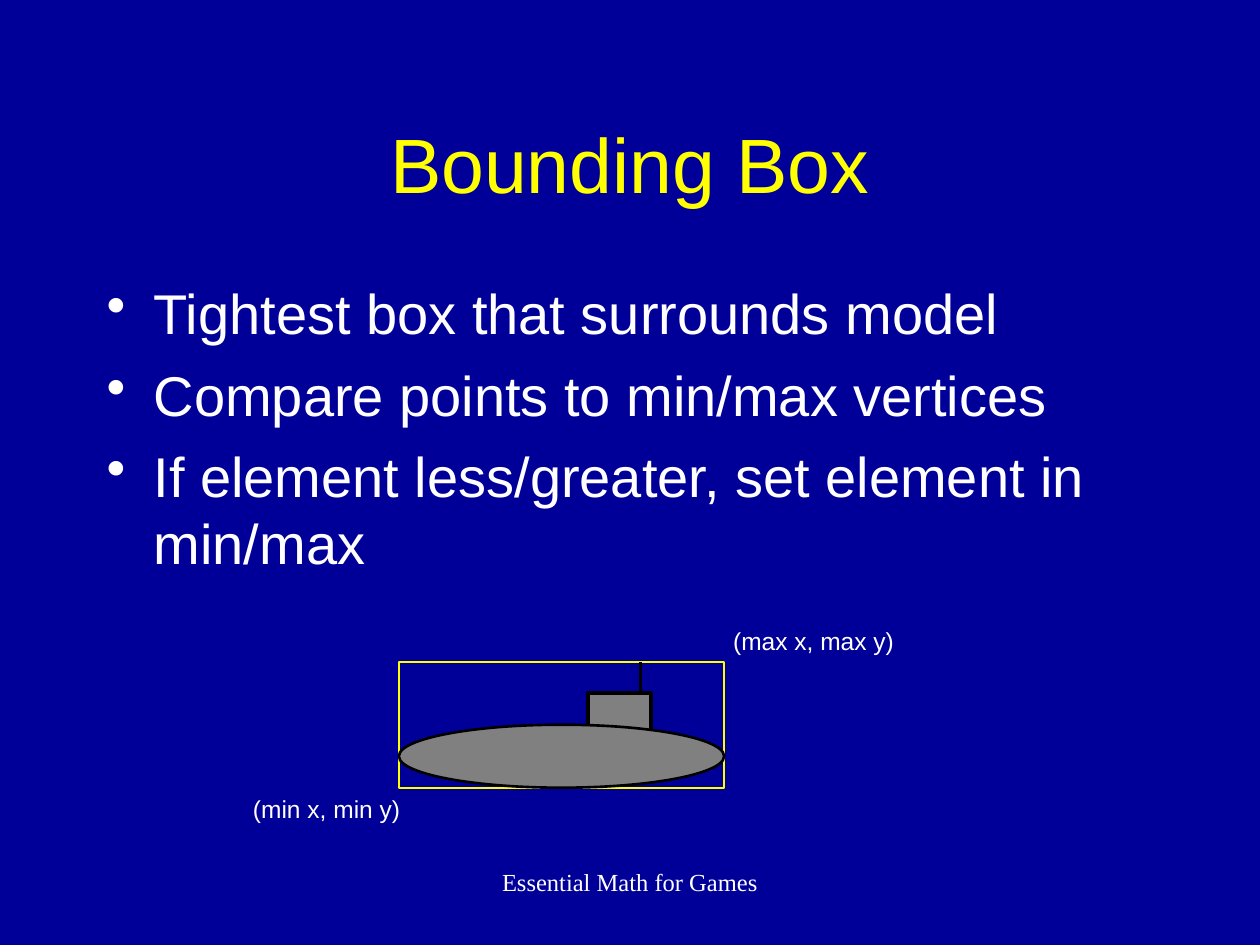
from lxml import etree
from pptx import Presentation, util as u
from pptx.dml.color import RGBColor
from pptx.enum import shapes, text
from pptx.oxml.ns import qn

TITLE = "Bounding Box"
POINTS = [
    "Tightest box that surrounds model",
    "Compare points to min/max vertices",
    "If element less/greater, set element in min/max",
]
LABELS = [
    ("(min x, min y)", (4.85, 15.88, 3.48, 0.86)),
    ("(max x, max y)", (14.53, 12.5, 3.76, 0.86)),
]
FOOTER = "Essential Math for Games"
BOUNDS = (8.04, 13.34, 6.56, 2.54)
TOWER = [(0, 0.64), (0, 0), (0.21, 0), (1.27, 0), (1.27, 0.85), (0, 0.85)]
THEME = {
    "back": "000099", "accent": "FFFF00", "ink": "FFFFFF",
    "metal": "808080", "edge": "000000",
    "sans": "Arial", "serif": "Times New Roman",
    "title": 44, "body": 32, "small": 14,
}


def color(name):
    return RGBColor.from_string(THEME[name])


def add_bullet(paragraph, indent):
    props = paragraph._p.get_or_add_pPr()
    props.set("marL", str(u.Cm(indent)))
    props.set("indent", str(-u.Cm(indent)))
    etree.SubElement(props, qn("a:buChar")).set("char", "•")


def write(slide, lines, place, size="small", ink="ink", face="sans", align="LEFT",
          anchor="TOP", wrap=True, bullet=False, gap=0):
    frame = slide.shapes.add_textbox(*map(u.Cm, place)).text_frame
    frame.word_wrap = wrap
    frame.vertical_anchor = getattr(text.MSO_ANCHOR, anchor)
    for i, line in enumerate(lines):
        paragraph = frame.add_paragraph() if i else frame.paragraphs[0]
        if bullet:
            add_bullet(paragraph, 0.95)
        paragraph.alignment = getattr(text.PP_ALIGN, align)
        if i:
            paragraph.space_before = u.Pt(gap)
        run = paragraph.add_run()
        run.text = line
        run.font.size = u.Pt(THEME[size])
        run.font.name = THEME[face]
        run.font.color.rgb = color(ink)


def paint(shape, edge, width, fill=None):
    shape.shadow.inherit = False
    shape.line.color.rgb = color(edge)
    shape.line.width = u.Pt(width)
    if fill:
        shape.fill.solid()
        shape.fill.fore_color.rgb = color(fill)
    else:
        shape.fill.background()


def draw_bounds(slide):
    bounds = slide.shapes.add_shape(shapes.MSO_SHAPE.RECTANGLE, *map(u.Cm, BOUNDS))
    paint(bounds, "accent", 1)


def draw_submarine(slide):
    left, top, width, height = BOUNDS
    parts = slide.shapes.add_group_shape().shapes
    tower_left, tower_top = left + 3.81, top + height / 4
    mast_x = left + 4.87

    mast = parts.add_connector(shapes.MSO_CONNECTOR.STRAIGHT, u.Cm(mast_x), u.Cm(top),
                               u.Cm(mast_x), u.Cm(top + 1.06))
    mast.line.color.rgb = color("edge")
    mast.line.width = u.Pt(2)
    etree.SubElement(mast._element.spPr, qn("a:effectLst"))

    outline = [(u.Cm(tower_left + x), u.Cm(tower_top + y)) for x, y in TOWER]
    builder = parts.build_freeform(*outline[0])
    builder.add_line_segments(outline[1:], close=False)
    paint(builder.convert_to_shape(), "edge", 2, "metal")

    hull = parts.add_shape(shapes.MSO_SHAPE.OVAL, u.Cm(left), u.Cm(top + height / 2),
                           u.Cm(width), u.Cm(height / 2))
    paint(hull, "edge", 1.5, "metal")


def main():
    """Build the bounding box slide."""
    deck = Presentation()
    deck.slide_width, deck.slide_height = u.Cm(25.4), u.Cm(19.05)
    slide = deck.slides.add_slide(deck.slide_layouts[6])
    slide.background.fill.solid()
    slide.background.fill.fore_color.rgb = color("back")

    draw_bounds(slide)
    write(slide, [TITLE], (1.9, 1.69, 21.6, 3.18), size="title", ink="accent",
          align="CENTER", anchor="MIDDLE")
    write(slide, POINTS, (1.9, 5.5, 21.6, 11.43), size="body", bullet=True, gap=8)
    for label, place in LABELS:
        write(slide, [label], place, wrap=False)
    draw_submarine(slide)
    write(slide, [FOOTER], (8.68, 17.36, 8.04, 1.27), face="serif", align="CENTER")
    deck.save("out.pptx")


if __name__ == "__main__":
    main()
